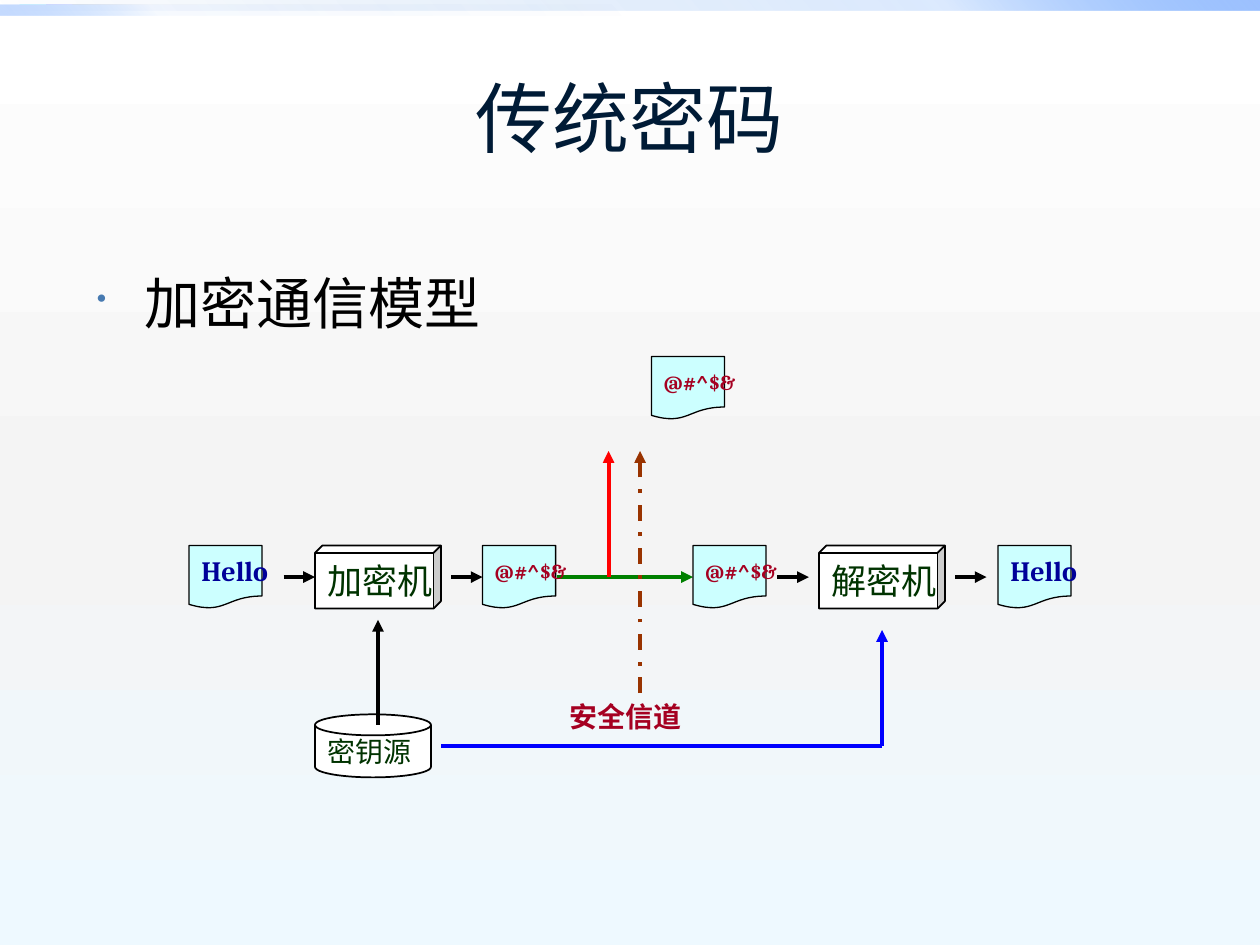
from lxml import etree
from pptx import Presentation
from pptx.dml.color import RGBColor
from pptx.enum.dml import MSO_LINE
from pptx.enum.shapes import MSO_CONNECTOR, MSO_SHAPE
from pptx.enum.text import MSO_ANCHOR, PP_ALIGN
from pptx.oxml.ns import qn
from pptx.util import Inches, Pt

COLORS = {
    "title": "001B36", "black": "000000", "white": "FFFFFF", "bullet": "477AB1",
    "paper": "CCFFFF", "plain": "000099", "cipher": "A50021", "machine": "003300",
    "tap": "FF0000", "channel": "008000", "key": "0000FF", "attack": "993300",
    "middle": "F4F4F4", "bottom": "EEF9FF",
    "bar_dark": "0058B7", "bar_mid": "4F95FF", "bar_light": "9EC2FF",
}
ROW_TOP, ROW_MIDDLE, BOX_HEIGHT = 4.33, 4.58, 0.5

# Format values for each kind of text
TITLE = {"size": Pt(44), "name": "Calibri", "color": "title"}
BODY = {"size": Pt(32), "name": "Cambria", "color": "black"}
PLAIN = {"size": Pt(16), "name": "Cambria", "bold": True, "color": "plain"}
CIPHER = {"size": Pt(12), "name": "Cambria", "bold": True, "color": "cipher"}
CHANNEL = {**CIPHER, "size": Pt(16)}
MACHINE = {"size": Pt(20), "name": "Cambria", "color": "machine"}
SOURCE = {**MACHINE, "size": Pt(16)}


def rgb(name):
    return RGBColor.from_string(COLORS[name])


def add_element(parent, tag, **attributes):
    element = etree.SubElement(parent, qn(tag))
    for key, value in attributes.items():
        element.set(key, str(value))
    return element


def set_gradient(fill, properties, stops, angle):
    """Put a linear gradient of (position, colour, opacity) stops in place of a fill."""
    fill.solid()
    gradient = etree.Element(qn("a:gradFill"), rotWithShape="1")
    stop_list = add_element(gradient, "a:gsLst")
    for position, color, opacity in stops:
        stop = add_element(stop_list, "a:gs", pos=position * 1000)
        color_element = add_element(stop, "a:srgbClr", val=COLORS[color])
        if opacity < 100:
            add_element(color_element, "a:alpha", val=opacity * 1000)
    add_element(gradient, "a:lin", ang=angle * 60000, scaled=0)
    properties.replace(properties.find(qn("a:solidFill")), gradient)


def write_text(shape, text, style, align=PP_ALIGN.LEFT, anchor=MSO_ANCHOR.MIDDLE,
               wrap=False):
    frame = shape.text_frame
    frame.word_wrap = wrap
    frame.vertical_anchor = anchor
    paragraph = frame.paragraphs[0]
    paragraph.alignment = align
    run = paragraph.add_run()
    run.text = text
    for key, value in style.items():
        if key == "color":
            run.font.color.rgb = rgb(value)
        else:
            setattr(run.font, key, value)
    return paragraph


def add_text(slide, box, text, style, **layout):
    textbox = slide.shapes.add_textbox(*map(Inches, box))
    return write_text(textbox, text, style, wrap=True, **layout)


def add_bullet(paragraph):
    properties = paragraph._p.get_or_add_pPr()
    properties.set("marL", str(Inches(0.38)))
    properties.set("indent", str(Inches(-0.38)))
    color = add_element(properties, "a:buClr")
    add_element(color, "a:srgbClr", val=COLORS["bullet"])
    add_element(properties, "a:buSzPct", val=50000)
    add_element(properties, "a:buChar", char="•")


def add_box(slide, kind, left, top, width, text, style, fill="white", weight=1):
    shape = slide.shapes.add_shape(
        kind, *map(Inches, (left, top, width, BOX_HEIGHT)))
    shape.shadow.inherit = False
    shape.fill.solid()
    shape.fill.fore_color.rgb = rgb(fill)
    shape.line.color.rgb = rgb("black")
    shape.line.width = Pt(weight)
    write_text(shape, text, style)
    return shape


def add_document(slide, left, top, text, style):
    add_box(slide, MSO_SHAPE.FLOWCHART_DOCUMENT, left, top, 0.58, text, style,
            fill="paper", weight=0.75)


def add_machine(slide, left, text):
    cube = add_box(slide, MSO_SHAPE.CUBE, left, ROW_TOP, 1, text, MACHINE)
    cube.adjustments[0] = 0.118


def add_line(slide, start, end, color="black", arrow=True, dash=None):
    connector = slide.shapes.add_connector(
        MSO_CONNECTOR.STRAIGHT, *map(Inches, start + end))
    connector.line.color.rgb = rgb(color)
    connector.line.width = Pt(2.25)
    if dash:
        connector.line.dash_style = dash
    if arrow:
        add_element(connector.line._get_or_add_ln(), "a:tailEnd", type="triangle")
    add_element(connector.element.spPr, "a:effectLst")


def add_backdrop(slide):
    background = slide.background.fill
    background.solid()
    set_gradient(background, slide.element.xpath("p:cSld/p:bg/p:bgPr")[0],
                 [(0, "white", 100), (55, "middle", 100), (100, "bottom", 100)], 90)
    bars = [((0, 0, 10, 0.08), 20, 100, 315), ((0, 0.04, 5, 0.08), 5, 60, 135)]
    for box, middle, end, angle in bars:
        bar = slide.shapes.add_shape(MSO_SHAPE.RECTANGLE, *map(Inches, box))
        bar.shadow.inherit = False
        bar.line.fill.background()
        stops = [(0, "bar_dark", 0), (75, "bar_mid", middle), (100, "bar_light", end)]
        set_gradient(bar.fill, bar.element.spPr, stops, angle)


def add_message_row(slide):
    # Public channel, then the messages and machines along it
    add_line(slide, (4.42, ROW_MIDDLE), (5.5, ROW_MIDDLE), "channel")
    for left in (1.5, 7.92):
        add_document(slide, left, ROW_TOP, "Hello", PLAIN)
    for left, top in ((3.83, ROW_TOP), (5.5, ROW_TOP), (5.17, 2.83)):
        add_document(slide, left, top, "@#^$&", CIPHER)
    for left, text in ((2.5, "加密机"), (6.5, "解密机")):
        add_machine(slide, left, text)
    for left in (2.25, 3.58, 6.17, 7.58):
        add_line(slide, (left, ROW_MIDDLE), (left + 0.25, ROW_MIDDLE))


def add_key_path(slide):
    add_box(slide, MSO_SHAPE.FLOWCHART_MAGNETIC_DISK, 2.5, 5.67, 0.92,
            "密钥源", SOURCE)
    add_line(slide, (3, 5.75), (3, 4.92))
    add_line(slide, (3.5, 5.92), (7, 5.92), "key", arrow=False)
    add_line(slide, (7, 5.92), (7, 5), "key")
    add_text(slide, (4.42, 5.5, 1.58, 0.37), "安全信道", CHANNEL,
             anchor=MSO_ANCHOR.TOP)


def main():
    presentation = Presentation()
    presentation.slide_width, presentation.slide_height = Inches(10), Inches(7.5)
    slide = presentation.slides.add_slide(presentation.slide_layouts[6])
    add_backdrop(slide)

    # Headings
    add_text(slide, (0.5, 0.3, 9, 1.25), "传统密码", TITLE, align=PP_ALIGN.CENTER)
    add_bullet(add_text(slide, (0.67, 2.08, 7.5, 0.83), "加密通信模型", BODY,
                        anchor=MSO_ANCHOR.TOP))

    # Communication model, with the two interception arrows
    add_message_row(slide)
    add_line(slide, (4.83, ROW_MIDDLE), (4.83, 3.58), "tap")
    add_key_path(slide)
    add_line(slide, (5.08, 5.5), (5.08, 3.58), "attack", dash=MSO_LINE.DASH_DOT)
    presentation.save("out.pptx")


if __name__ == "__main__":
    main()
